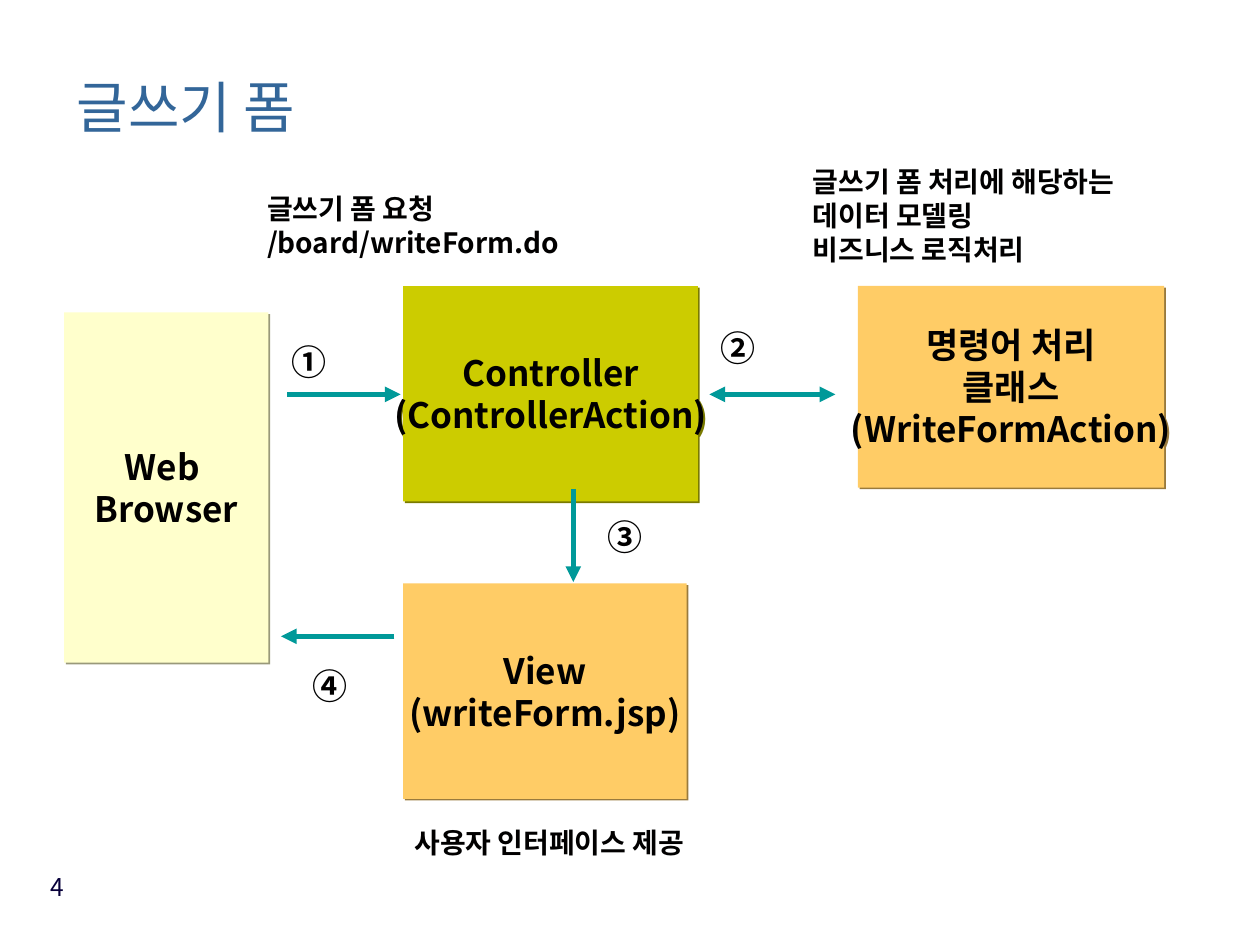
from dataclasses import dataclass

from lxml import etree
from pptx import Presentation
from pptx.dml.color import RGBColor
from pptx.enum import shapes, text
from pptx.oxml import ns
from pptx.util import Inches, Pt


@dataclass(frozen=True)
class Theme:
    """Colours, font and type sizes of the slide."""
    font: str = "Noto Sans CJK KR"
    title: str = "336699"
    ink: str = "010000"
    page: str = "08003A"
    arrow: str = "009999"
    browser: str = "FFFFCC"
    controller: str = "CCCC00"
    worker: str = "FFCC66"
    title_size: int = 32
    box_size: int = 20
    note_size: int = 16
    page_size: int = 14
    arrow_width: int = 3


THEME = Theme()


def add_xml(parent, tag, **attributes):
    """Append one DrawingML element and return it."""
    return etree.SubElement(parent, ns.qn(tag), attributes)


def write(tf, lines, size, color, bold=False, align=None):
    """Fill a text frame, one paragraph to each line."""
    for i, line in enumerate(lines):
        p = tf.paragraphs[0] if i == 0 else tf.add_paragraph()
        p.text = line
        p.alignment = align
        font = p.font
        font.size, font.bold, font.name = Pt(size), bold, THEME.font
        font.color.rgb = RGBColor.from_string(color)
        add_xml(p._p.pPr.find(ns.qn("a:defRPr")), "a:ea", typeface=THEME.font)


def add_title(s, box, title):
    """Place the title placeholder in the box."""
    sp = s.shapes.title
    sp.left, sp.top, sp.width, sp.height = map(Inches, box)
    tf = sp.text_frame
    tf.vertical_anchor = text.MSO_ANCHOR.MIDDLE
    write(tf, [title], THEME.title_size, THEME.title, align=text.PP_ALIGN.LEFT)
    tf.paragraphs[0].line_spacing = 0.7


def add_page_number(s, box, number):
    """Place the page number, flush right in the box."""
    tf = s.shapes.add_textbox(*map(Inches, box)).text_frame
    tf.word_wrap = True
    write(tf, [number], THEME.page_size, THEME.page, align=text.PP_ALIGN.RIGHT)


def add_component(s, box, fill, lines):
    """Draw a component with a thin shadow in a darker tone of its fill."""
    sp = s.shapes.add_shape(shapes.MSO_SHAPE.RECTANGLE, *map(Inches, box))
    sp.fill.solid()
    color = sp.fill.fore_color.rgb = RGBColor.from_string(fill)
    sp.line.fill.background()
    sp.shadow.inherit = False
    effects = sp._element.spPr.find(ns.qn("a:effectLst"))
    shadow = add_xml(effects, "a:outerShdw", dist=str(Pt(1.4)), dir="2700000",
                     algn="ctr", rotWithShape="0")
    dark = RGBColor(*(round(c * 0.6) for c in color))
    add_xml(shadow, "a:srgbClr", val=str(dark))
    tf = sp.text_frame
    tf.word_wrap = False
    tf.vertical_anchor = text.MSO_ANCHOR.MIDDLE
    write(tf, lines, THEME.box_size, THEME.ink, True, text.PP_ALIGN.CENTER)


def add_note(s, box, lines, size=THEME.note_size):
    """Place a bold caption without margins in the box."""
    tf = s.shapes.add_textbox(*map(Inches, box)).text_frame
    tf.margin_left = tf.margin_top = tf.margin_right = tf.margin_bottom = 0
    tf.word_wrap = True
    tf.auto_size = text.MSO_AUTO_SIZE.SHAPE_TO_FIT_TEXT
    write(tf, lines, size, THEME.ink, True)


def add_arrow(s, start, end, both=False):
    """Draw an arrow from start to end, with two heads if both is set."""
    cxn = s.shapes.add_connector(shapes.MSO_CONNECTOR.STRAIGHT,
                                 *map(Inches, start + end))
    cxn.line.color.rgb = RGBColor.from_string(THEME.arrow)
    cxn.line.width = Pt(THEME.arrow_width)
    ln = cxn.line._get_or_add_ln()
    if both:
        add_xml(ln, "a:headEnd", type="triangle")
    add_xml(ln, "a:tailEnd", type="triangle")
    add_xml(cxn._element.spPr, "a:effectLst")


def add_flow(s, box):
    """Draw the request flow, measured from the corner of the box."""
    x, y, width, height = box
    column, row = 2.69, 0.96

    add_component(s, (x, y + 1.17, 1.62, height - 2.73), THEME.browser,
                  ["Web ", "Browser"])
    add_component(s, (x + column, y + 3.32, 2.25, 1.71), THEME.worker,
                  ["View", "(writeForm.jsp)"])
    add_component(s, (x + column, y + row, 2.34, 1.71), THEME.controller,
                  ["Controller", "(ControllerAction)"])
    add_component(s, (x + width - 2.43, y + row, 2.43, 1.6), THEME.worker,
                  ["명령어 처리", "클래스", "(WriteFormAction)"])

    steps = [  # label, label corner, arrow start, arrow end, two heads
        ("①", (1.8, 1.39), (1.77, 1.82), (2.67, 1.82), False),
        ("②", (5.21, 1.28), (5.12, 1.82), (6.12, 1.82), True),
        ("③", (4.31, 2.78), (4.04, 2.57), (4.04, 3.31), False),
        ("④", (1.97, 3.96), (2.62, 3.74), (1.72, 3.74), False),
    ]
    for label, corner, start, end, both in steps:
        corner, start, end = ((x + dx, y + dy) for dx, dy in (corner, start, end))
        add_arrow(s, start, end, both)
        add_note(s, corner + (0.45, 0.33), [label], THEME.box_size)

    add_note(s, (x + 1.61, y + 0.21, 2.61, 0.53),
             ["글쓰기 폼 요청 /board/writeForm.do"])
    add_note(s, (x + 5.94, y, 2.89, 0.8),
             ["글쓰기 폼 처리에 해당하는 데이터 모델링", "비즈니스 로직처리"])
    add_note(s, (x + 2.78, y + 5.24, 2.7, 0.27), ["사용자 인터페이스 제공"])


def main():
    """Build the slide and save it."""
    prs = Presentation()
    prs.slide_width, prs.slide_height = Inches(10), Inches(7.5)
    s = prs.slides.add_slide(prs.slide_layouts[5])
    add_title(s, (0.51, 0.28, 9, 1.25), "글쓰기 폼")
    add_flow(s, (0.51, 1.31, 8.73, 5.51))
    add_page_number(s, (0.14, 6.87, 0.47, 0.52), "4")
    prs.save("out.pptx")


main()
